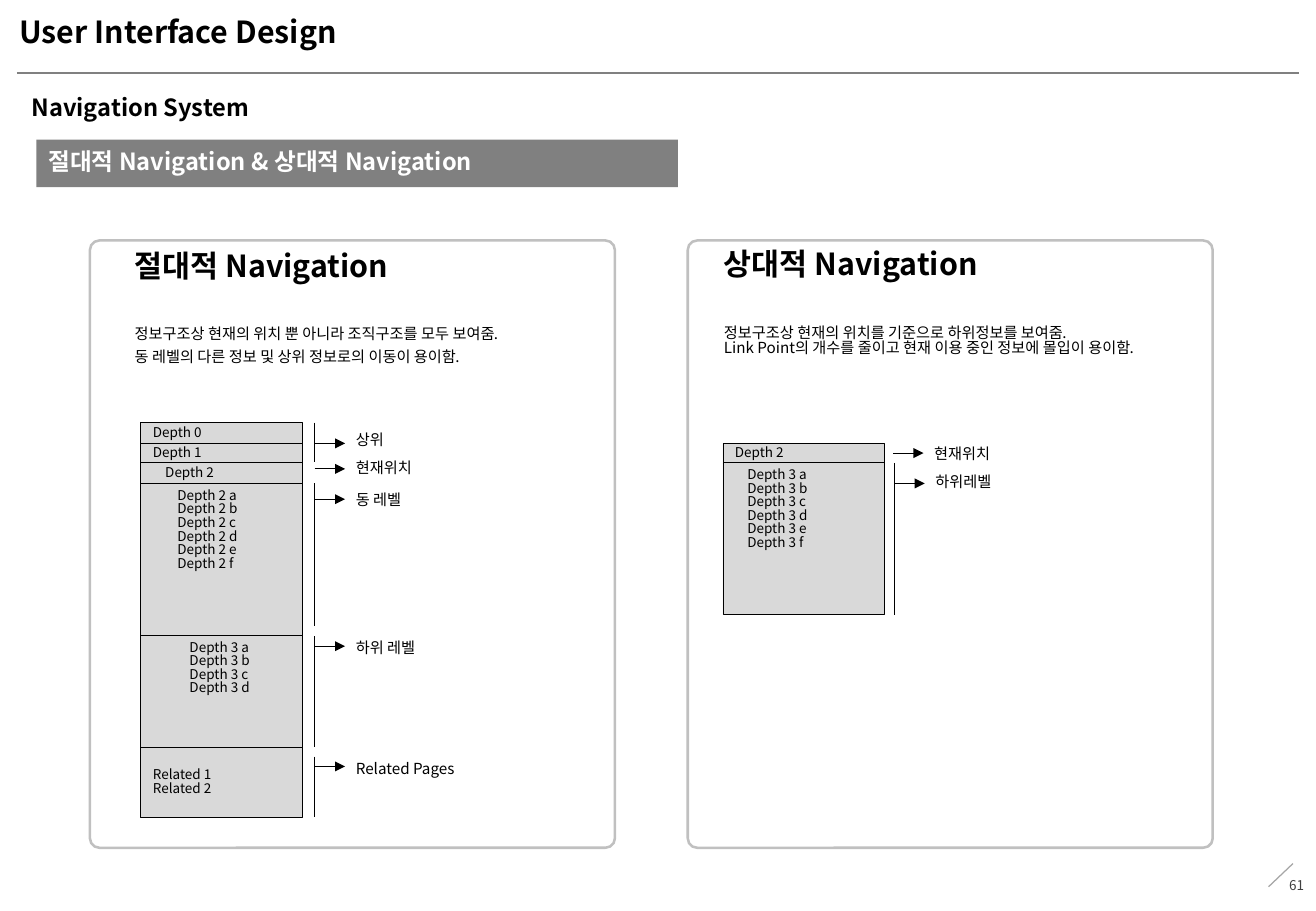
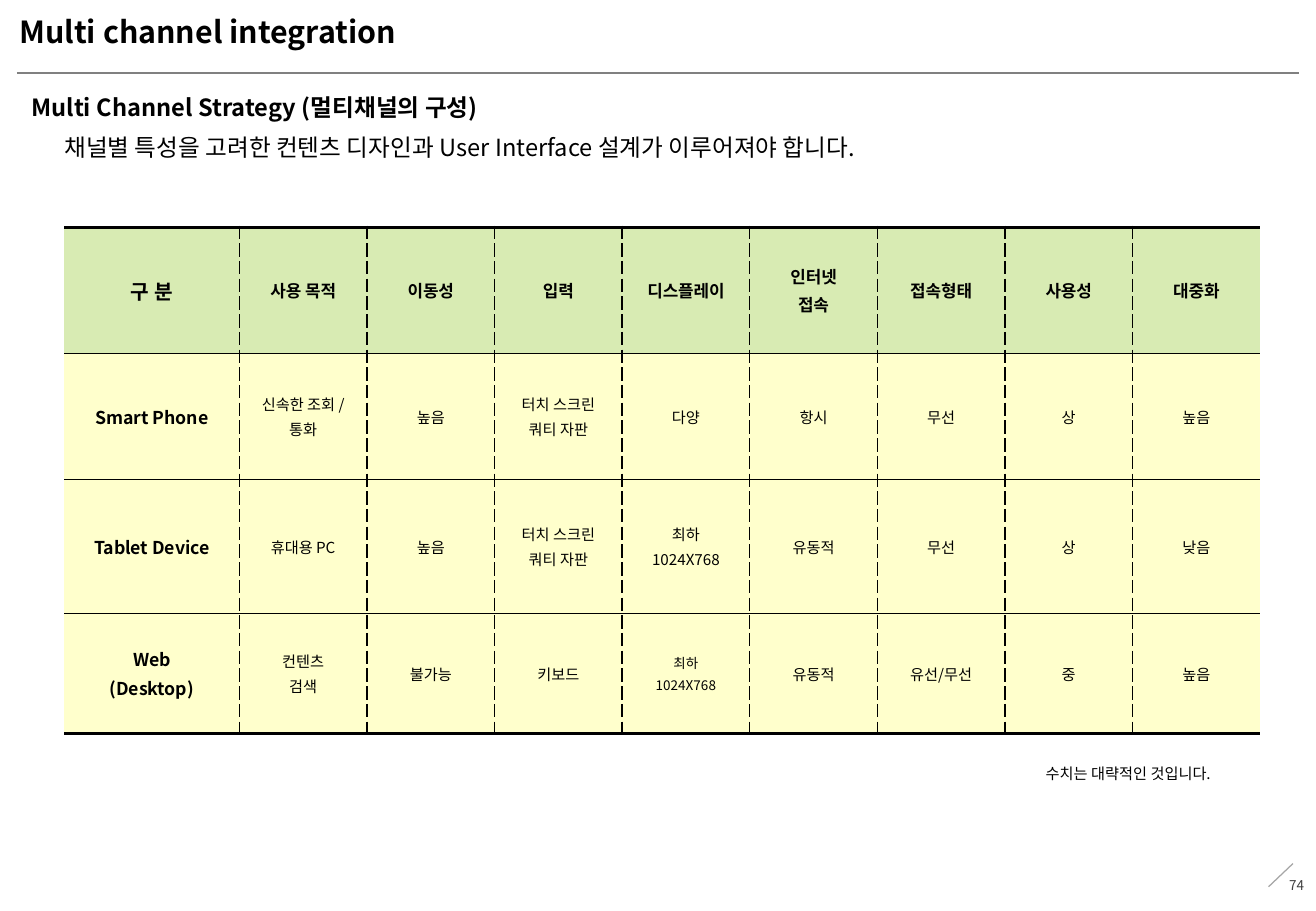
import lxml.etree
import pptx
import pptx.dml.color
import pptx.enum.shapes
import pptx.enum.text
import pptx.oxml.ns
import pptx.util

Inches = pptx.util.Inches
Pt = pptx.util.Pt
RGB = pptx.dml.color.RGBColor.from_string
SHAPE = pptx.enum.shapes.MSO_SHAPE
ALIGN = pptx.enum.text.PP_ALIGN
MIDDLE = pptx.enum.text.MSO_ANCHOR.MIDDLE
TOP = pptx.enum.text.MSO_ANCHOR.TOP
qn = pptx.oxml.ns.qn

FONT = "Noto Sans CJK KR"
COLORS = {
    "text": "000000", "white": "FFFFFF", "rule": "808080", "slash": "A6A6A6",
    "page": "404040", "panel": "C0C0C0", "box": "D9D9D9",
    "header": "D8EBB3", "body": "FFFFCC",
}


def write(tf, lines, size, bold=False, color="text", align=ALIGN.LEFT, gap=0, spacing=0.84):
    """Fill a text frame, one paragraph a line, with gap points between them."""
    tf.word_wrap = True
    for i, line in enumerate(lines):
        p = tf.paragraphs[0] if i == 0 else tf.add_paragraph()
        p.text = line
        p.alignment = align
        p.line_spacing = spacing
        if i and gap:
            p.space_before = Pt(gap)
        p.font.size = Pt(size)
        p.font.bold = bold
        p.font.color.rgb = RGB(COLORS[color])
        p.font.name = FONT
        latin = p.font._element.find(qn("a:latin"))
        latin.addnext(latin.makeelement(qn("a:ea"), {"typeface": FONT}))


def add_line(s, x1, y1, x2, y2, color="text", width=0.5, arrow=False):
    c = s.shapes.add_connector(pptx.enum.shapes.MSO_CONNECTOR.STRAIGHT,
                               Inches(x1), Inches(y1), Inches(x2), Inches(y2))
    c.line.color.rgb = RGB(COLORS[color])
    c.line.width = Pt(width)
    if arrow:
        lxml.etree.SubElement(c.line._get_or_add_ln(), qn("a:tailEnd"), type="triangle")
    lxml.etree.SubElement(c._element.spPr, qn("a:effectLst"))


prs = pptx.Presentation()
prs.slide_width, prs.slide_height = Inches(10.83), Inches(7.5)

# Shared frame: rule, title, subtitle, page number
FRAMES = [
    ("User Interface Design", "Navigation System", "61"),
    ("Multi channel integration", "Multi Channel Strategy (멀티채널의 구성)", "74"),
]
slides = []
for title, subtitle, page in FRAMES:
    s = prs.slides.add_slide(prs.slide_layouts[6])
    slides.append(s)
    add_line(s, 0.14, 0.6, 10.69, 0.6, "rule", 0.75)
    add_line(s, 10.64, 7.11, 10.44, 7.3, "slash", 0.75)
    sp = s.shapes.add_textbox(Inches(10.22), Inches(7.1), Inches(0.61), Inches(0.4))
    sp.text_frame.vertical_anchor = MIDDLE
    write(sp.text_frame, [page], 8, color="page", align=ALIGN.RIGHT)
    sp = s.shapes.add_textbox(Inches(0.16), Inches(0.1), Inches(8.09), Inches(0.42))
    tf = sp.text_frame
    tf.margin_left = tf.margin_right = 0
    tf.margin_top = tf.margin_bottom = Inches(0.06)
    write(tf, [title], 18, bold=True)
    sp = s.shapes.add_textbox(Inches(0.16), Inches(0.75), Inches(10.54), Inches(0.34))
    write(sp.text_frame, [subtitle], 14, bold=True)

navigation, channels = slides

# Slide 1: absolute and relative navigation
sp = navigation.shapes.add_shape(SHAPE.RECTANGLE, Inches(0.3), Inches(1.15),
                                 Inches(5.28), Inches(0.39))
sp.shadow.inherit = False
sp.fill.solid()
sp.fill.fore_color.rgb = RGB(COLORS["rule"])
sp.line.fill.background()
sp.text_frame.vertical_anchor = MIDDLE
write(sp.text_frame, ["절대적 Navigation & 상대적 Navigation"], 14, bold=True, color="white")

# Panel: left edge, text box (left, top, width, height), gap, lines
PANELS = [
    (0.74, (1.01, 2.03, 3.42, 1.22), 4.5,
     ["절대적 Navigation",
      "정보구조상 현재의 위치 뿐 아니라 조직구조를 모두 보여줌.",
      "동 레벨의 다른 정보 및 상위 정보로의 이동이 용이함."]),
    (5.66, (5.86, 2.02, 3.96, 1.67), 0,
     ["상대적 Navigation",
      "정보구조상 현재의 위치를 기준으로 하위정보를 보여줌.",
      "Link Point의 개수를 줄이고 현재 이용 중인 정보에 몰입이 용이함."]),
]
for left, area, gap, lines in PANELS:
    sp = navigation.shapes.add_shape(SHAPE.ROUNDED_RECTANGLE, Inches(left), Inches(1.98),
                                     Inches(4.32), Inches(5))
    sp.adjustments[0] = 0.018
    sp.shadow.inherit = False
    sp.fill.background()
    sp.line.color.rgb = RGB(COLORS["panel"])
    sp.line.width = Pt(1.5)
    sp = navigation.shapes.add_textbox(*map(Inches, area))
    write(sp.text_frame, lines, 9, gap=gap)
    heading, first = sp.text_frame.paragraphs[:2]
    heading.font.size = Pt(18)
    heading.font.bold = True
    first.space_before = Pt(26)

# Menu box: left, top, height, indent level, anchor, lines
MENU_BOXES = [
    (1.16, 3.48, 0.17, 0, MIDDLE, ["Depth 0"]),
    (1.16, 3.65, 0.17, 0, MIDDLE, ["Depth 1"]),
    (1.16, 3.81, 0.17, 1, MIDDLE, ["Depth 2"]),
    (1.16, 3.98, 1.25, 2, TOP, [f"Depth 2 {c}" for c in "abcdef"]),
    (1.16, 5.23, 0.92, 3, TOP, [f"Depth 3 {c}" for c in "abcd"]),
    (1.16, 6.15, 0.58, 0, MIDDLE, ["Related 1", "Related 2"]),
    (5.95, 3.65, 0.17, 0, MIDDLE, ["Depth 2"]),
    (5.95, 3.81, 1.25, 1, TOP, [f"Depth 3 {c}" for c in "abcdef"]),
]
for left, top, height, level, anchor, lines in MENU_BOXES:
    sp = navigation.shapes.add_shape(SHAPE.RECTANGLE, Inches(left), Inches(top),
                                     Inches(1.33), Inches(height))
    sp.shadow.inherit = False
    sp.fill.solid()
    sp.fill.fore_color.rgb = RGB(COLORS["box"])
    sp.line.color.rgb = RGB(COLORS["text"])
    sp.line.width = Pt(0.5)
    sp.text_frame.vertical_anchor = anchor
    sp.text_frame.margin_left = Inches(0.1 + 0.1 * level)
    write(sp.text_frame, lines, 8)

# Label: text, arrow start x, arrow y, label top, bracket (top, bottom)
LABELS = [
    ("상위", 2.59, 3.65, 3.52, (3.48, 3.8)),
    ("현재위치", 2.59, 3.86, 3.75, None),
    ("동 레벨", 2.59, 4.11, 4.01, (3.98, 5.15)),
    ("하위 레벨", 2.59, 5.32, 5.23, (5.24, 6.15)),
    ("Related Pages", 2.59, 6.31, 6.23, (6.23, 6.73)),
    ("현재위치", 7.35, 3.73, 3.63, None),
    ("하위레벨", 7.36, 3.98, 3.86, (3.81, 5.06)),
]
for text, x, y, top, bracket in LABELS:
    if bracket:
        add_line(navigation, x, bracket[0], x, bracket[1])
    add_line(navigation, x, y, x + 0.25, y, arrow=True)
    sp = navigation.shapes.add_textbox(Inches(x + 0.24), Inches(top), Inches(1.2), Inches(0.25))
    write(sp.text_frame, [text], 9)

# Slide 2: channel comparison
sp = channels.shapes.add_textbox(Inches(0.53), Inches(1.08), Inches(10.16), Inches(0.34))
sp.text_frame.margin_left = 0
write(sp.text_frame,
      ["채널별 특성을 고려한 컨텐츠 디자인과 User Interface 설계가 이루어져야 합니다."], 14)

ROWS = [
    ["구 분", "사용 목적", "이동성", "입력", "디스플레이", "인터넷\n접속", "접속형태", "사용성", "대중화"],
    ["Smart Phone", "신속한 조회 /\n통화", "높음", "터치 스크린\n쿼티 자판", "다양", "항시", "무선", "상", "높음"],
    ["Tablet Device", "휴대용 PC", "높음", "터치 스크린\n쿼티 자판", "최하\n1024X768", "유동적", "무선", "상", "낮음"],
    ["Web\n(Desktop)", "컨텐츠\n검색", "불가능", "키보드", "최하\n1024X768", "유동적", "유선/무선", "중", "높음"],
]
HEIGHTS = [1.04, 1.04, 1.1, 0.99]
WIDTHS = [1.44] + [1.05] * 8
last_row, last_col = len(HEIGHTS) - 1, len(WIDTHS) - 1

table = channels.shapes.add_table(len(HEIGHTS), len(WIDTHS), Inches(0.53), Inches(1.87),
                                  Inches(sum(WIDTHS)), Inches(sum(HEIGHTS))).table
table.first_row = table.horz_banding = False
for col, width in zip(table.columns, WIDTHS):
    col.width = Inches(width)
for row, height in zip(table.rows, HEIGHTS):
    row.height = Inches(height)

for i, texts in enumerate(ROWS):
    for j, text in enumerate(texts):
        cell = table.cell(i, j)
        cell.vertical_anchor = MIDDLE
        if i == 0:
            size = 12 if j == 0 else 10
        elif j == 0:
            size = 10.5
        else:
            size = 8 if (i, j) == (3, 4) else 9
        write(cell.text_frame, text.split("\n"), size, bold=i == 0 or j == 0,
              align=ALIGN.CENTER, gap=size * 0.2, spacing=1.0)
        borders = [
            ("a:lnL", 1 if j else 0, "sysDash"),
            ("a:lnR", 1 if j < last_col else 0, "sysDash"),
            ("a:lnT", 1 if i else 2.25, "solid"),
            ("a:lnB", 1 if i < last_row else 2.25, "solid"),
        ]
        for tag, width, dash in borders:
            ln = lxml.etree.SubElement(cell._tc.get_or_add_tcPr(), qn(tag), w=str(Pt(width)))
            if width:
                fill = lxml.etree.SubElement(ln, qn("a:solidFill"))
                lxml.etree.SubElement(fill, qn("a:srgbClr"), val=COLORS["text"])
                lxml.etree.SubElement(ln, qn("a:prstDash"), val=dash)
            else:
                lxml.etree.SubElement(ln, qn("a:noFill"))
        cell.fill.solid()
        cell.fill.fore_color.rgb = RGB(COLORS["body" if i else "header"])

sp = channels.shapes.add_textbox(Inches(8.06), Inches(6.27), Inches(2), Inches(0.25))
write(sp.text_frame, ["수치는 대략적인 것입니다."], 9, align=ALIGN.RIGHT)

prs.save("out.pptx")
